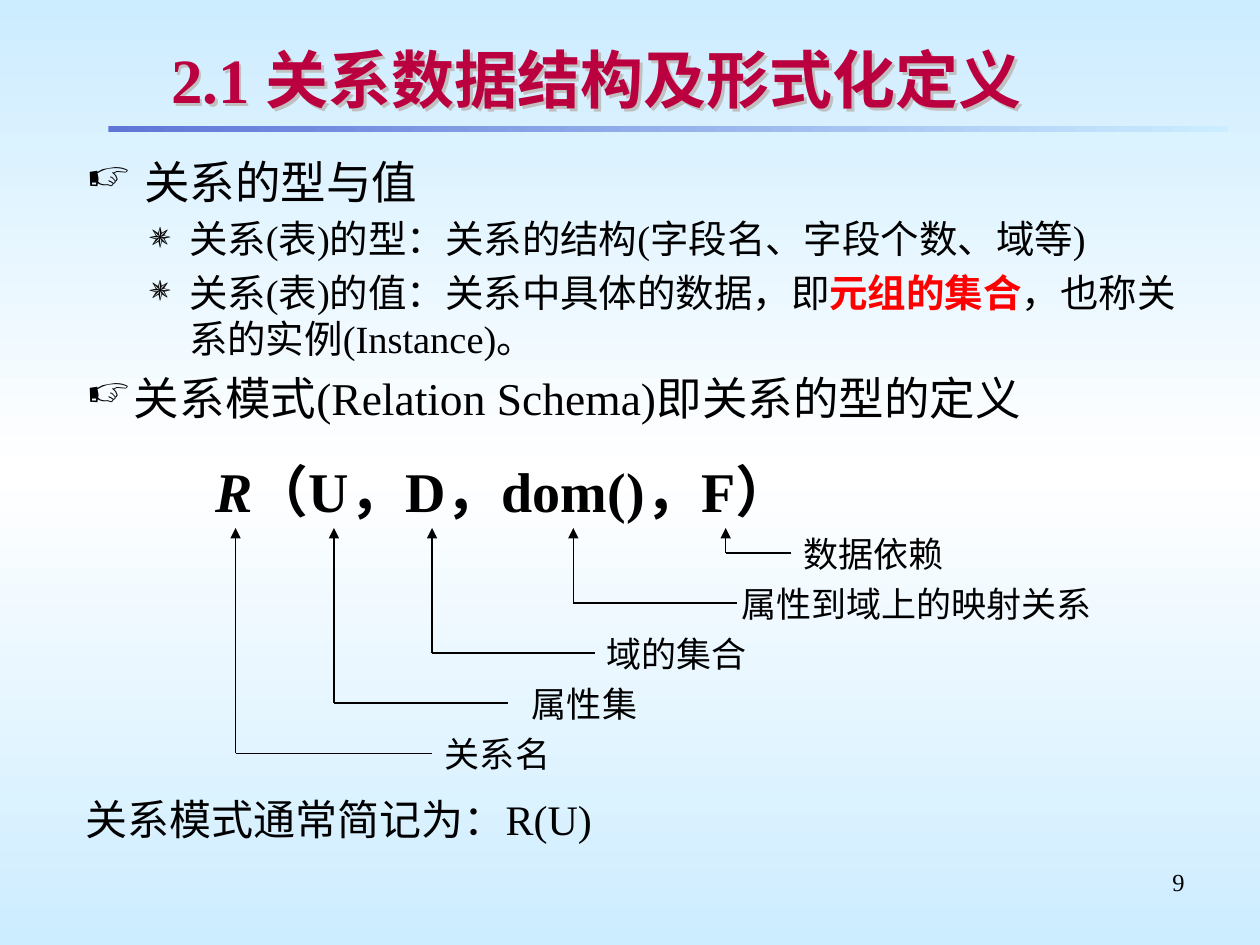
import pptx
import pptx.dml.color
import pptx.enum.shapes
import pptx.enum.text
import pptx.oxml.ns
import pptx.util
from lxml import etree

Pt = pptx.util.Pt
qn = pptx.oxml.ns.qn
ALIGN = pptx.enum.text.PP_ALIGN
ANCHOR = pptx.enum.text.MSO_ANCHOR
SERIF = "Times New Roman"
BLACK, RED, CRIMSON = "000000", "FF0000", "BA003E"
SKY, WHITE, BLUE, SILVER = "CCECFF", "FFFFFF", "5F76D7", "C0C0C0"


def color(value):
    return pptx.dml.color.RGBColor.from_string(value)


def paint_gradient(fill, element, stops, angle):
    """Fill with (percent, colour) stops; element is the XML that holds the fill."""
    fill.gradient()
    fill.gradient_angle = angle
    stop_list = next(element.iter(qn("a:gsLst")))
    for stop in list(stop_list):
        stop_list.remove(stop)
    for percent, value in stops:
        stop = etree.SubElement(stop_list, qn("a:gs"), pos=str(percent * 1000))
        etree.SubElement(stop, qn("a:srgbClr"), val=value)


def add_text_box(slide, box, anchor=ANCHOR.TOP):
    text_box = slide.shapes.add_textbox(*[Pt(length) for length in box])
    text_box.text_frame.word_wrap = True
    text_box.text_frame.vertical_anchor = anchor
    return text_box


def add_run(paragraph, text, size, value=BLACK, bold=False, italic=False, font=SERIF):
    run = paragraph.add_run()
    run.text = text
    run.font.size = Pt(size)
    run.font.name = font
    run.font.bold = bold
    run.font.italic = italic
    run.font.color.rgb = color(value)


def set_indent(paragraph, margin, hanging):
    properties = paragraph._p.get_or_add_pPr()
    properties.set("marL", str(Pt(margin)))
    properties.set("indent", str(-Pt(hanging)))
    return properties


def add_bullet(paragraph, character, margin, hanging):
    properties = set_indent(paragraph, margin, hanging)
    bullet_color = etree.SubElement(properties, qn("a:buClr"))
    etree.SubElement(bullet_color, qn("a:srgbClr"), val=BLACK)
    etree.SubElement(properties, qn("a:buSzPct"), val="95000")
    etree.SubElement(properties, qn("a:buChar"), char=character)


def add_line(slide, start, end, arrow=False):
    line = slide.shapes.add_connector(
        pptx.enum.shapes.MSO_CONNECTOR.STRAIGHT, *[Pt(length) for length in start + end])
    line.line.color.rgb = color(BLACK)
    line.line.width = Pt(0.75)
    if arrow:
        etree.SubElement(line.line._get_or_add_ln(), qn("a:tailEnd"), type="triangle")
    etree.SubElement(line._element.spPr, qn("a:effectLst"))
    return line


def add_title(slide, box):
    left, top, width, height = box
    # Fading rule under the title
    rule = slide.shapes.add_shape(
        pptx.enum.shapes.MSO_SHAPE.RECTANGLE,
        Pt(left - 28.8), Pt(top + height + 3), Pt(640), Pt(3.6))
    rule.shadow.inherit = False
    rule.line.fill.background()
    paint_gradient(rule.fill, rule._element, [(0, BLUE), (100, SKY)], 0)

    # Title; the box has no fill, so its shadow falls from the letters
    title = add_text_box(slide, box, ANCHOR.MIDDLE)
    add_run(title.text_frame.paragraphs[0], "2.1 关系数据结构及形式化定义",
            36, CRIMSON, bold=True)
    effects = etree.SubElement(title._element.spPr, qn("a:effectLst"))
    shadow = etree.SubElement(effects, qn("a:outerShdw"), dist="25400", dir="2700000")
    etree.SubElement(shadow, qn("a:srgbClr"), val=SILVER)


def add_outline(slide, box):
    # Each item: level, then (text, colour, bold) runs
    items = [
        (0, [(" 关系的型与值", BLACK, False)]),
        (1, [("关系(表)的型：关系的结构(字段名、字段个数、域等)", BLACK, False)]),
        (1, [("关系(表)的值：关系中具体的数据，即", BLACK, False),
             ("元组的集合", RED, True),
             ("，也称关系的实例(Instance)。", BLACK, False)]),
        (0, [("关系模式(Relation Schema)即关系的型的定义", BLACK, False)]),
    ]
    # Bullet, margin, hanging indent, space before, text size
    levels = [("☞", 27, 27, 4.9, 26), ("✵", 58.5, 22.5, 4.1, 22)]
    frame = add_text_box(slide, box).text_frame
    for index, (level, runs) in enumerate(items):
        paragraph = frame.add_paragraph() if index else frame.paragraphs[0]
        character, margin, hanging, space, size = levels[level]
        add_bullet(paragraph, character, margin, hanging)
        paragraph.level = level
        if index:
            paragraph.space_before = Pt(space)
        for text, value, bold in runs:
            add_run(paragraph, text, size, value, bold)


def add_schema_diagram(slide, box):
    left, top, width, height = box
    # Formula
    formula = add_text_box(slide, box, ANCHOR.MIDDLE)
    paragraph = formula.text_frame.paragraphs[0]
    add_run(paragraph, "R", 32, bold=True, italic=True)
    add_run(paragraph, "（U，D，dom()，F）", 32, bold=True)

    # Labels step down; each has an elbow with an arrow up to its symbol
    # Label, label left, label width, arrow x, gap between line and label
    labels = [
        ("数据依赖", 336.3, 93.6, 298.8, 0),
        ("属性到域上的映射关系", 305.3, 205.2, 211.7, 0),
        ("域的集合", 224, 93.6, 131, 0),
        ("属性集", 180.7, 74.9, 74.9, 6.5),
        ("关系名", 131, 74.9, 18.7, 0),
    ]
    row_height = 28.6
    arrow_top = top + height
    for row, (text, label_left, label_width, arrow_left, gap) in enumerate(labels):
        row_top = arrow_top + row * row_height
        middle = row_top + row_height / 2
        label = add_text_box(slide, (left + label_left, row_top, label_width, row_height),
                             ANCHOR.MIDDLE)
        label.text_frame.margin_left = label.text_frame.margin_right = Pt(0)
        paragraph = label.text_frame.paragraphs[0]
        paragraph.alignment = ALIGN.CENTER
        add_run(paragraph, text, 20)
        corner = (left + arrow_left, middle)
        branch = add_line(slide, (left + label_left - gap, middle), corner)
        if not gap:
            branch.begin_connect(label, 1)
        add_line(slide, corner, (left + arrow_left, arrow_top), arrow=True)


def add_summary(slide, box):
    paragraph = add_text_box(slide, box).text_frame.paragraphs[0]
    set_indent(paragraph, 27, 27)
    add_run(paragraph, "关系模式通常简记为：", 24, font="Arial")
    add_run(paragraph, "R(U)", 24)


def add_page_number(slide, box):
    paragraph = add_text_box(slide, box).text_frame.paragraphs[0]
    paragraph.alignment = ALIGN.RIGHT
    add_run(paragraph, "9", 14)


def main():
    presentation = pptx.Presentation()
    presentation.slide_width, presentation.slide_height = Pt(720), Pt(540)
    slide = presentation.slides.add_slide(presentation.slide_layouts[6])
    paint_gradient(slide.background.fill, slide._element,
                   [(0, SKY), (50, WHITE), (100, SKY)], 90)
    add_title(slide, (90.7, 20.9, 593.3, 48.2))
    add_outline(slide, (42.5, 84.2, 648, 179.3))
    add_schema_diagram(slide, (115.9, 258.5, 430, 43.2))
    add_summary(slide, (41.8, 450, 642.2, 36))
    add_page_number(slide, (516.2, 491.8, 167.8, 37.4))
    presentation.save("out.pptx")


if __name__ == "__main__":
    main()
